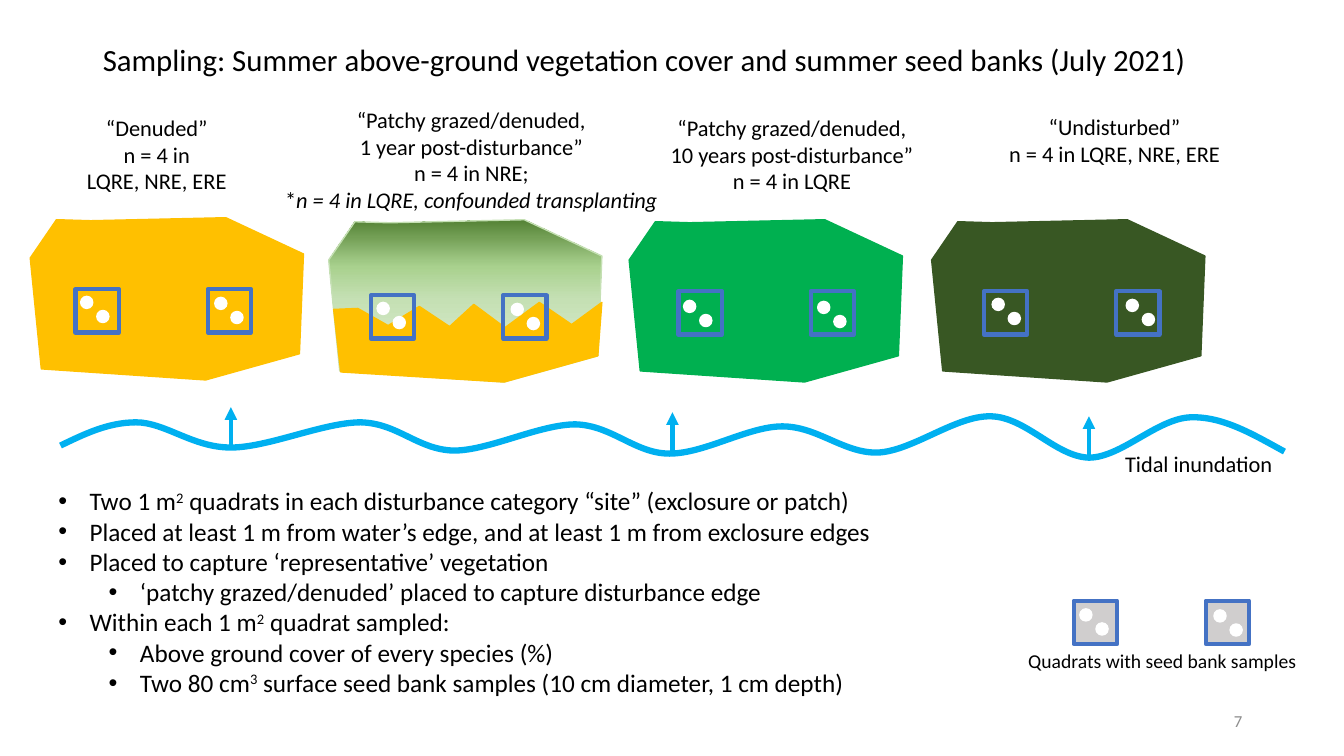
"""Build the slide on sampling summer vegetation cover and seed banks."""
from lxml.etree import SubElement
from pptx import Presentation
from pptx.dml.color import RGBColor
from pptx.enum.shapes import MSO_CONNECTOR as CONNECTOR, MSO_SHAPE as SHAPE
from pptx.enum.text import MSO_ANCHOR as ANCHOR, MSO_AUTO_SIZE as AUTO_SIZE, PP_ALIGN as ALIGN
from pptx.oxml.ns import qn
from pptx.util import Inches, Pt

BLACK = RGBColor(0, 0, 0)
WHITE = RGBColor(255, 255, 255)
GRAY = RGBColor(0x8C, 0x8C, 0x8C)
LEGEND_GRAY = RGBColor(0xD0, 0xCE, 0xCE)
WATER = RGBColor(0x00, 0xB0, 0xF0)
QUADRAT_BLUE = RGBColor(0x44, 0x72, 0xC4)
BARE = RGBColor(0xFF, 0xC0, 0x00)
GREEN = RGBColor(0x00, 0xB0, 0x50)
DARK_GREEN = RGBColor(0x38, 0x57, 0x23)
PALE_GREEN = RGBColor(0xC5, 0xE0, 0xB4)
GRAZED_STOPS = [(0, RGBColor(0xE2, 0xF0, 0xD9)), (51, PALE_GREEN),
                (71, RGBColor(0xA9, 0xD1, 0x8E)), (100, RGBColor(0x54, 0x82, 0x35))]

FONT = "Calibri"
SUPER, ITALIC = "super", "italic"

PATCH_OUTLINE = [(0.26, 0.02), (0, 0.4), (0.11, 1.5), (1.74, 1.61),
                 (2.67, 1.35), (2.71, 0.36), (1.94, 0), (0.6, 0.03)]
BARE_EDGE = [(5.97, 3), (5.67, 3.22), (5.35, 3), (5.01, 3.25), (4.7, 3.02),
             (4.46, 3.24), (4.16, 3.04), (3.85, 3.23), (3.55, 3.06), (3.31, 3.07),
             (3.38, 3.69), (5, 3.79), (5.93, 3.53)]
WAVE = [(0.6, 4.42),
        (0.83, 4.31), (1.07, 4.19), (1.35, 4.19), (1.64, 4.19), (1.91, 4.44), (2.29, 4.44),
        (2.66, 4.44), (3.21, 4.19), (3.58, 4.19), (3.95, 4.2), (4.14, 4.46), (4.5, 4.47),
        (4.85, 4.47), (5.35, 4.21), (5.71, 4.21), (6.07, 4.22), (6.3, 4.5), (6.64, 4.5),
        (6.99, 4.5), (7.42, 4.23), (7.76, 4.23), (8.11, 4.23), (8.37, 4.5), (8.71, 4.49),
        (9.06, 4.47), (9.48, 4.12), (9.83, 4.13), (10.18, 4.14), (10.47, 4.53), (10.8, 4.54),
        (11.12, 4.54), (11.48, 4.15), (11.81, 4.14), (12.13, 4.13), (12.43, 4.31), (12.74, 4.48)]
INUNDATION_ARROWS = [(6.67, 4.5), (10.8, 4.54), (2.29, 4.45)]

PATCHES = [
    (0.3, 2.16, BARE, (0.75, 2.87), (0.8, 2.94)),
    (3.26, 2.18, None, (3.68, 2.93), (3.74, 3)),
    (6.24, 2.18, GREEN, (6.73, 2.89), (6.78, 2.98)),
    (9.24, 2.18, DARK_GREEN, (9.76, 2.89), (9.84, 2.96)),
]
CATEGORIES = [
    ((0.75, 1.08, 1.61, 0.91), [["“Denuded”"], ["n = 4 in"], ["LQRE, NRE, ERE"]]),
    ((2.7, 1, 3.95, 1.18), [["“Patchy grazed/denuded,"], ["1 year post-disturbance”"],
                            ["n = 4 in NRE;"],
                            ["*", ("n = 4 in LQRE, confounded transplanting", ITALIC)]]),
    ((6.53, 1.08, 2.65, 0.91), [["“Patchy grazed/denuded,"], ["10 years post-disturbance”"],
                                ["n = 4 in LQRE"]]),
    ((9.89, 1.07, 2.33, 0.64), [["“Undisturbed”"], ["n = 4 in LQRE, NRE, ERE"]]),
]
METHODS = [
    (0, ["Two 1 m", ("2", SUPER),
         " quadrats in each disturbance category “site” (exclosure or patch)"]),
    (0, ["Placed at least 1 m from water’s edge, and at least 1 m from exclosure edges"]),
    (0, ["Placed to capture ‘representative’ vegetation"]),
    (1, ["‘patchy grazed/denuded’ placed to capture disturbance edge"]),
    (0, ["Within each 1 m", ("2", SUPER), " quadrat sampled:"]),
    (1, ["Above ground cover of every species (%)"]),
    (1, ["Two 80 cm", ("3", SUPER), " surface seed bank samples (10 cm diameter, 1 cm depth)"]),
]


def add_runs(paragraph, pieces, size, color=BLACK):
    """Add each piece, plain or paired with a style, as a run."""
    for piece in pieces:
        text, style = (piece, None) if isinstance(piece, str) else piece
        run = paragraph.add_run()
        run.text = text
        run.font.name = FONT
        run.font.size = Pt(size)
        run.font.color.rgb = color
        if style == ITALIC:
            run.font.italic = True
        elif style == SUPER:
            run.font._element.set("baseline", "30000")


def set_bullet(paragraph, level):
    """Give a paragraph a hanging round bullet at its level."""
    paragraph.level = level
    properties = paragraph._p.get_or_add_pPr()
    properties.set("marL", str(Inches(0.31 + 0.5 * level)))
    properties.set("indent", str(Inches(-0.31)))
    SubElement(properties, qn("a:buFont"), typeface="Arial")
    SubElement(properties, qn("a:buChar"), char="•")


def add_label(shapes, box, lines, size, align=ALIGN.LEFT, levels=None):
    """Add unwrapped text, bulleted where levels are given."""
    frame = shapes.add_textbox(*map(Inches, box)).text_frame
    frame.word_wrap = False
    frame.auto_size = AUTO_SIZE.SHAPE_TO_FIT_TEXT
    for index, pieces in enumerate(lines):
        paragraph = frame.add_paragraph() if index else frame.paragraphs[0]
        if levels:
            set_bullet(paragraph, levels[index])
        paragraph.alignment = align
        add_runs(paragraph, pieces, size)


def style_shape(shape, fill, line, width):
    """Set fill and outline, and take the shadow away."""
    shape.shadow.inherit = False
    if fill is None:
        shape.fill.background()
    else:
        shape.fill.solid()
        shape.fill.fore_color.rgb = fill
    shape.line.color.rgb = line
    shape.line.width = Pt(width)


def add_outline(shapes, points, fill, line, width=1, close=True):
    """Draw a freeform through points in inches."""
    corners = [(Inches(x), Inches(y)) for x, y in points]
    builder = shapes.build_freeform(*corners[0])
    builder.add_line_segments(corners[1:], close=close)
    outline = builder.convert_to_shape()
    style_shape(outline, fill, line, width)
    return outline


def curve_segments(outline):
    """Turn each three line segments into one Bézier curve."""
    segments = list(outline._element.iter(qn("a:lnTo")))
    for first, second, third in zip(*[iter(segments)] * 3):
        curve = first.getparent()
        bezier = SubElement(curve, qn("a:cubicBezTo"))
        for segment in (first, second, third):
            bezier.append(segment[0])
            curve.remove(segment)


def fill_gradient(shape, stops):
    """Fill a shape from bottom to top through the stops."""
    shape.fill.gradient()
    shape.fill.gradient_angle = 90
    stop_list = shape._element.find(".//" + qn("a:gsLst"))
    for stop in list(stop_list):
        stop_list.remove(stop)
    for position, color in stops:
        stop = SubElement(stop_list, qn("a:gs"), pos=str(position * 1000))
        SubElement(stop, qn("a:srgbClr"), val=str(color))


def add_inundation_arrow(shapes, x, y):
    """Draw an arrow rising from the water line."""
    arrow = shapes.add_connector(CONNECTOR.STRAIGHT, Inches(x), Inches(y),
                                 Inches(x), Inches(y - 0.41))
    arrow.line.color.rgb = WATER
    arrow.line.width = Pt(3)
    SubElement(arrow.line._get_or_add_ln(), qn("a:tailEnd"), type="triangle")
    SubElement(arrow._element.spPr, qn("a:effectLst"))


def add_quadrats(shapes, corner, core, fill=None):
    """Draw two quadrats, each with two seed bank cores."""
    for step in (0, 1.31):
        quadrat = shapes.add_shape(SHAPE.RECTANGLE, Inches(corner[0] + step),
                                   Inches(corner[1]), Inches(0.43), Inches(0.43))
        style_shape(quadrat, fill, QUADRAT_BLUE, 3)
    for dx, dy in ((0, 0), (0.16, 0.14), (1.33, 0.01), (1.49, 0.15)):
        sample = shapes.add_shape(SHAPE.OVAL, Inches(core[0] + dx), Inches(core[1] + dy),
                                  Inches(0.12), Inches(0.12))
        style_shape(sample, WHITE, WHITE, 1)


def add_patch(shapes, left, top, color, corner, core):
    """Draw a site; one without a colour is grazed with a bare lower part."""
    points = [(left + x, top + y) for x, y in PATCH_OUTLINE]
    patch = add_outline(shapes, points, color, color or PALE_GREEN)
    if color is None:
        fill_gradient(patch, GRAZED_STOPS)
        add_outline(shapes, BARE_EDGE, BARE, BARE)
    add_quadrats(shapes, corner, core)


def set_title(title, text):
    """Place the title and format it."""
    title.left, title.top, title.width, title.height = map(Inches, (0.92, 0.4, 11.5, 1.45))
    frame = title.text_frame
    frame.vertical_anchor = ANCHOR.TOP
    frame.auto_size = AUTO_SIZE.NONE
    heading = frame.paragraphs[0]
    heading.alignment = ALIGN.LEFT
    heading.line_spacing = 0.9
    add_runs(heading, [text], 22)


def add_slide_number(shapes, number):
    """Add the slide number at the lower right."""
    frame = shapes.add_textbox(*map(Inches, (9.42, 6.95, 3, 0.4))).text_frame
    frame.word_wrap = True
    frame.vertical_anchor = ANCHOR.MIDDLE
    frame.paragraphs[0].alignment = ALIGN.RIGHT
    add_runs(frame.paragraphs[0], [number], 12, GRAY)


def main():
    """Build and save the slide."""
    deck = Presentation()
    deck.slide_width, deck.slide_height = Inches(13.33), Inches(7.5)
    shapes = deck.slides.add_slide(deck.slide_layouts[5]).shapes
    set_title(shapes.title,
              "Sampling: Summer above-ground vegetation cover and summer seed banks (July 2021)")
    add_label(shapes, (11.06, 4.42, 1.68, 0.37), [["Tidal inundation"]], 16)
    tide = shapes.add_group_shape().shapes
    curve_segments(add_outline(tide, WAVE, None, WATER, 4.5, close=False))
    for x, y in INUNDATION_ARROWS:
        add_inundation_arrow(tide, x, y)
    for patch in PATCHES:
        add_patch(shapes.add_group_shape().shapes, *patch)
    legend = shapes.add_group_shape().shapes
    add_quadrats(legend, (10.65, 5.96), (10.71, 6.04), LEGEND_GRAY)
    add_label(legend, (10.1, 6.39, 2.93, 0.57), [["Quadrats with seed bank samples"]], 14)
    levels, lines = zip(*METHODS)
    add_label(shapes, (0.48, 4.77, 8.35, 2.52), lines, 18, levels=levels)
    categories = shapes.add_group_shape().shapes
    for box, lines in CATEGORIES:
        add_label(categories, box, lines, 16, ALIGN.CENTER)
    add_slide_number(shapes, "7")
    deck.save("out.pptx")


if __name__ == "__main__":
    main()
